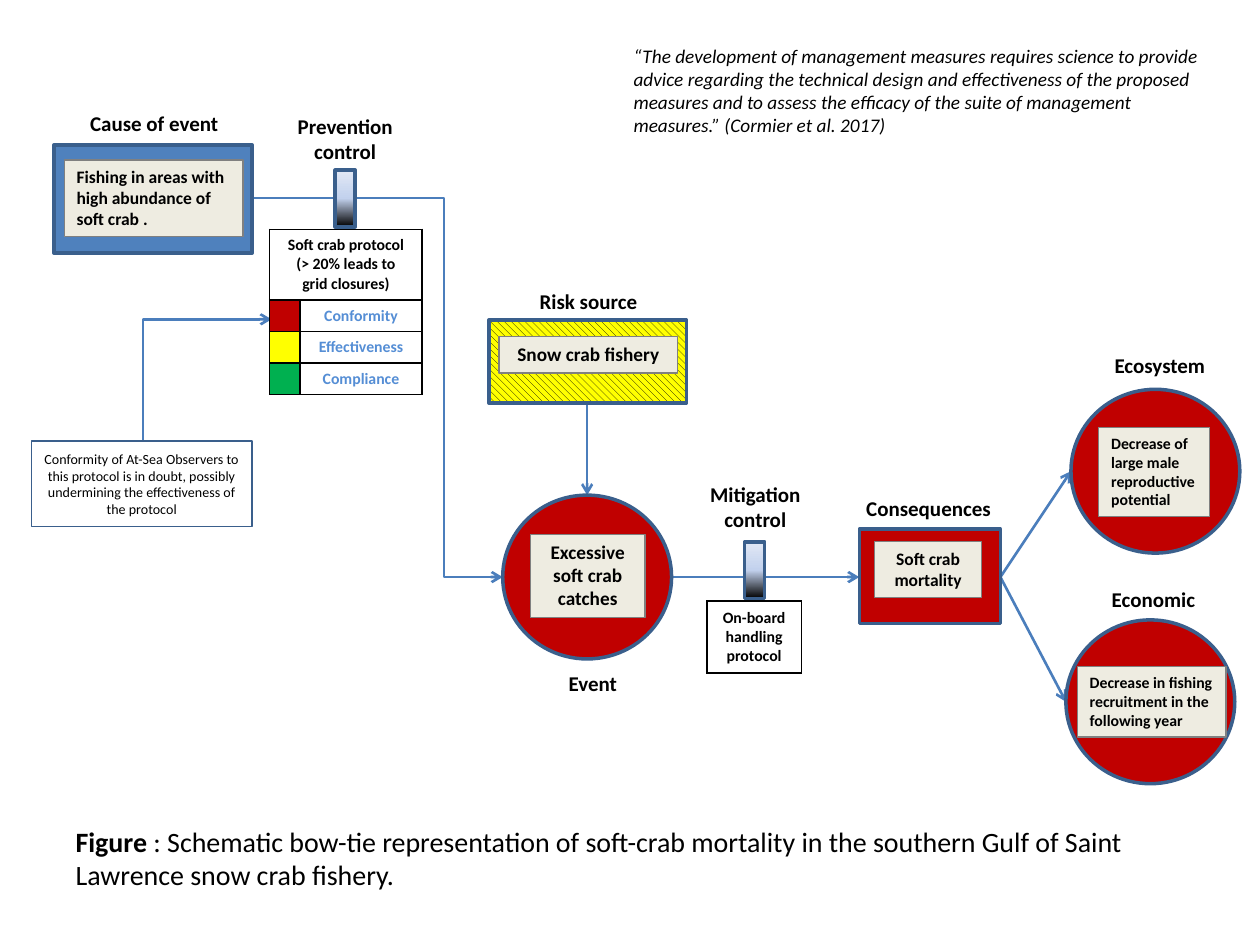
from lxml import etree
from pptx import Presentation
from pptx.dml.color import RGBColor
from pptx.enum import dml, shapes, text
from pptx.oxml import parse_xml
from pptx.oxml.ns import nsdecls, qn
from pptx.util import Inches, Pt

BLUE, EDGE = RGBColor(0x4F, 0x81, 0xBD), RGBColor(0x3A, 0x5F, 0x8C)
ARROW, RATING = RGBColor(0x4B, 0x7E, 0xBC), RGBColor(0x55, 0x8E, 0xD5)
RED, YELLOW, GREEN = (RGBColor(0xC0, 0, 0), RGBColor(0xFF, 0xFF, 0),
                      RGBColor(0, 0xB0, 0x50))
CREAM, GREY = RGBColor(0xEE, 0xEC, 0xE1), RGBColor(0x80, 0x80, 0x80)
BLACK, WHITE = RGBColor(0, 0, 0), RGBColor(0xFF, 0xFF, 0xFF)

RECT, OVAL = shapes.MSO_SHAPE.RECTANGLE, shapes.MSO_SHAPE.OVAL
LEFT, CENTER = text.PP_ALIGN.LEFT, text.PP_ALIGN.CENTER
TOP, MIDDLE = text.MSO_ANCHOR.TOP, text.MSO_ANCHOR.MIDDLE

CAPTION = ("Figure", " : Schematic bow-tie representation of soft-crab mortality "
           "in the southern Gulf of Saint Lawrence snow crab fishery.")
QUOTE = ("\u201cThe development of management measures requires science to provide "
         "advice regarding the technical design and effectiveness of the proposed "
         "measures and to assess the efficacy of the suite of management "
         "measures.\u201d (Cormier et al. 2017)")
DOUBT = ("Conformity of At-Sea Observers to this protocol is in doubt, possibly "
         "undermining the effectiveness of the protocol")

# node: shape, box, fill; plate: box, text, size, alignment
NODES = [
    ((RECT, (0.43, 1.15, 1.57, 0.86), BLUE),
     ((0.51, 1.27, 1.42, 0.61),
      "Fishing in areas with high abundance of soft crab .", 10, LEFT)),
    ((OVAL, (3.99, 3.93, 1.34, 1.3), RED),
     ((4.21, 4.24, 0.91, 0.66), "Excessive soft crab catches", 11, CENTER)),
    ((RECT, (3.88, 2.54, 1.57, 0.66), YELLOW),
     ((3.96, 2.67, 1.42, 0.29), "Snow crab fishery", 11, CENTER)),
    ((RECT, (6.82, 4.2, 1.12, 0.75), RED),
     ((6.94, 4.3, 0.85, 0.44), "Soft crab mortality", 10, CENTER)),
    ((OVAL, (8.5, 3.09, 1.34, 1.3), RED),
     ((8.72, 3.39, 0.88, 0.71),
      "Decrease of large male reproductive potential", 9, LEFT)),
    ((OVAL, (8.46, 4.92, 1.34, 1.3), RED),
     ((8.55, 5.29, 1.18, 0.56),
      "Decrease in fishing recruitment in the following year", 9, LEFT)),
]
LABELS = [
    ((4.18, 2.24, 0.98, 0.3), ["Risk source"]),
    ((2.24, 0.85, 1, 0.5), ["Prevention", "control"]),
    ((0.61, 0.83, 1.23, 0.3), ["Cause of event"]),
    ((4.41, 5.27, 0.59, 0.3), ["Event"]),
    ((6.77, 3.88, 1.2, 0.3), ["Consequences"]),
    ((8.74, 2.75, 0.93, 0.3), ["Ecosystem"]),
    ((8.72, 4.61, 0.87, 0.3), ["Economic"]),
    ((5.51, 3.77, 0.97, 0.5), ["Mitigation", "control"]),
]
STRAIGHT = [(4.66, 3.2, 4.66, 3.93), (5.33, 4.58, 6.82, 4.58),
            (7.94, 4.58, 8.46, 5.57), (7.94, 4.58, 8.5, 3.74)]
GATES = [(2.66, 1.35), (5.91, 4.3)]
RATINGS = [(RED, "Conformity"), (YELLOW, "Effectiveness"), (GREEN, "Compliance")]

prs = Presentation()
prs.slide_width, prs.slide_height = Inches(10), Inches(7.5)
s = prs.slides.add_slide(prs.slide_layouts[5])


def inches(box):
    """Turn a tuple of inches into lengths."""
    return [Inches(v) for v in box]


def write(tf, lines, size, align=LEFT, bold=True, italic=False, color=BLACK):
    """Fill a text frame with one paragraph per line."""
    for i, line in enumerate(lines):
        p = tf.add_paragraph() if i else tf.paragraphs[0]
        p.text, p.alignment = line, align
        f = p.font
        f.name, f.size, f.bold, f.italic = "Calibri", Pt(size), bold, italic
        f.color.rgb = color


def shape(kind, box, fill, line=EDGE, width=2):
    """Add a filled, outlined shape without shadow."""
    sp = s.shapes.add_shape(kind, *inches(box))
    sp.shadow.inherit = False
    sp.fill.solid()
    sp.fill.fore_color.rgb = fill
    sp.line.color.rgb, sp.line.width = line, Pt(width)
    return sp


def textbox(box, lines, size, wrap=True, **style):
    """Add a text box that grows with its text."""
    tf = s.shapes.add_textbox(*inches(box)).text_frame
    tf.word_wrap = wrap
    tf.auto_size = text.MSO_AUTO_SIZE.SHAPE_TO_FIT_TEXT
    write(tf, lines, size, **style)


def arrow(ends, kind=shapes.MSO_CONNECTOR.STRAIGHT):
    """Add a connector with an open arrowhead at its end."""
    c = s.shapes.add_connector(kind, *inches(ends))
    c.line.color.rgb, c.line.width = ARROW, Pt(1.5)
    etree.SubElement(c.line._get_or_add_ln(), qn("a:tailEnd"), type="arrow")
    etree.SubElement(c._element.spPr, qn("a:effectLst"))
    return c


def gate(left, top):
    """Add a control bar that fades from black at its foot."""
    sp = shape(RECT, (left, top, 0.16, 0.45), BLACK)
    stops = "".join(f'<a:gs pos="{pos}"><a:srgbClr val="{c}"/></a:gs>' for pos, c in
                    [(0, "000000"), (50000, "C2D1ED"), (100000, "E1E8F5")])
    grad = parse_xml(f'<a:gradFill {nsdecls("a")}><a:gsLst>{stops}</a:gsLst>'
                     '<a:lin ang="16200000" scaled="0"/></a:gradFill>')
    spPr = sp._element.spPr
    spPr.replace(spPr.find(qn("a:solidFill")), grad)


def table(left, top, cols, rows):
    """Add a white table with black borders."""
    t = s.shapes.add_table(len(rows), len(cols),
                           *inches((left, top, sum(cols), sum(rows)))).table
    t.first_row = t.horz_banding = False
    for col, w in zip(t.columns, cols):
        col.width = Inches(w)
    for row, h in zip(t.rows, rows):
        row.height = Inches(h)
    for c in t.iter_cells():
        c.vertical_anchor = MIDDLE
        for side in ("lnL", "lnR", "lnT", "lnB"):
            c._tc.get_or_add_tcPr().append(parse_xml(
                f'<a:{side} {nsdecls("a")} w="12700"><a:solidFill>'
                f'<a:srgbClr val="000000"/></a:solidFill></a:{side}>'))
        paint(c, WHITE)
        write(c.text_frame, [""], 9)
    return t


def paint(cell, color):
    """Fill a table cell."""
    cell.fill.solid()
    cell.fill.fore_color.rgb = color


# Caption and quotation
title = s.shapes.title
title.left, title.top, title.width, title.height = inches((0.5, 6.49, 9.09, 0.64))
tf = title.text_frame
tf.word_wrap, tf.vertical_anchor = True, TOP
tf.auto_size = text.MSO_AUTO_SIZE.SHAPE_TO_FIT_TEXT
write(tf, [CAPTION[0]], 16, bold=False)
tf.paragraphs[0].runs[0].font.bold = True
tf.paragraphs[0].add_run().text = CAPTION[1]
textbox((4.93, 0.3, 4.73, 0.84), [QUOTE], 11, bold=False, italic=True)

# Connectors
for ends in STRAIGHT:
    arrow(ends)
cause_link = arrow((2.01, 1.57, 3.99, 4.58), shapes.MSO_CONNECTOR.ELBOW)
geom = cause_link._element.spPr.find(qn("a:prstGeom"))
etree.SubElement(geom.find(qn("a:avLst")), qn("a:gd"), name="adj1", fmla="val 76500")
doubt_link = arrow((2.13, 3.53, 1.16, 2.51), shapes.MSO_CONNECTOR.ELBOW)
doubt_link._element.spPr.find(qn("a:prstGeom")).set("prst", "bentConnector2")
doubt_link._element.spPr.find(qn("a:xfrm")).set("rot", "5400000")

# Nodes with their text plates
for (kind, box, fill), (plate_box, words, size, align) in NODES:
    node = shape(kind, box, fill)
    if fill == YELLOW:
        node.fill.patterned()
        node.fill.pattern = dml.MSO_PATTERN.WIDE_DOWNWARD_DIAGONAL
        node.fill.fore_color.rgb, node.fill.back_color.rgb = BLACK, YELLOW
    tf = shape(RECT, plate_box, CREAM, GREY, 0.75).text_frame
    tf.word_wrap, tf.vertical_anchor = True, TOP
    tf.auto_size = text.MSO_AUTO_SIZE.SHAPE_TO_FIT_TEXT
    write(tf, [words], size, align)
doubt = shape(RECT, (0.25, 3.5, 1.75, 0.68), WHITE, width=1)
doubt.text_frame.word_wrap = True
write(doubt.text_frame, [DOUBT], 8, CENTER, bold=False)

# Control tables, bars and labels
protocol = table(2.14, 1.82, (0.24, 0.97), (0.56, 0.25, 0.25, 0.25))
protocol.cell(0, 0).merge(protocol.cell(0, 1))
write(protocol.cell(0, 0).text_frame,
      ["Soft crab protocol", "(> 20% leads to grid closures)"], 9, CENTER)
for row, (color, rating) in enumerate(RATINGS, 1):
    paint(protocol.cell(row, 0), color)
    write(protocol.cell(row, 1).text_frame, [rating], 9, CENTER, color=RATING)
handling = table(5.61, 4.77, (0.75,), (0.57,))
write(handling.cell(0, 0).text_frame, ["On-board handling", "protocol"], 9, CENTER)
for place in GATES:
    gate(*place)
for box, lines in LABELS:
    textbox(box, lines, 12, wrap=False, align=CENTER)

prs.save("out.pptx")
